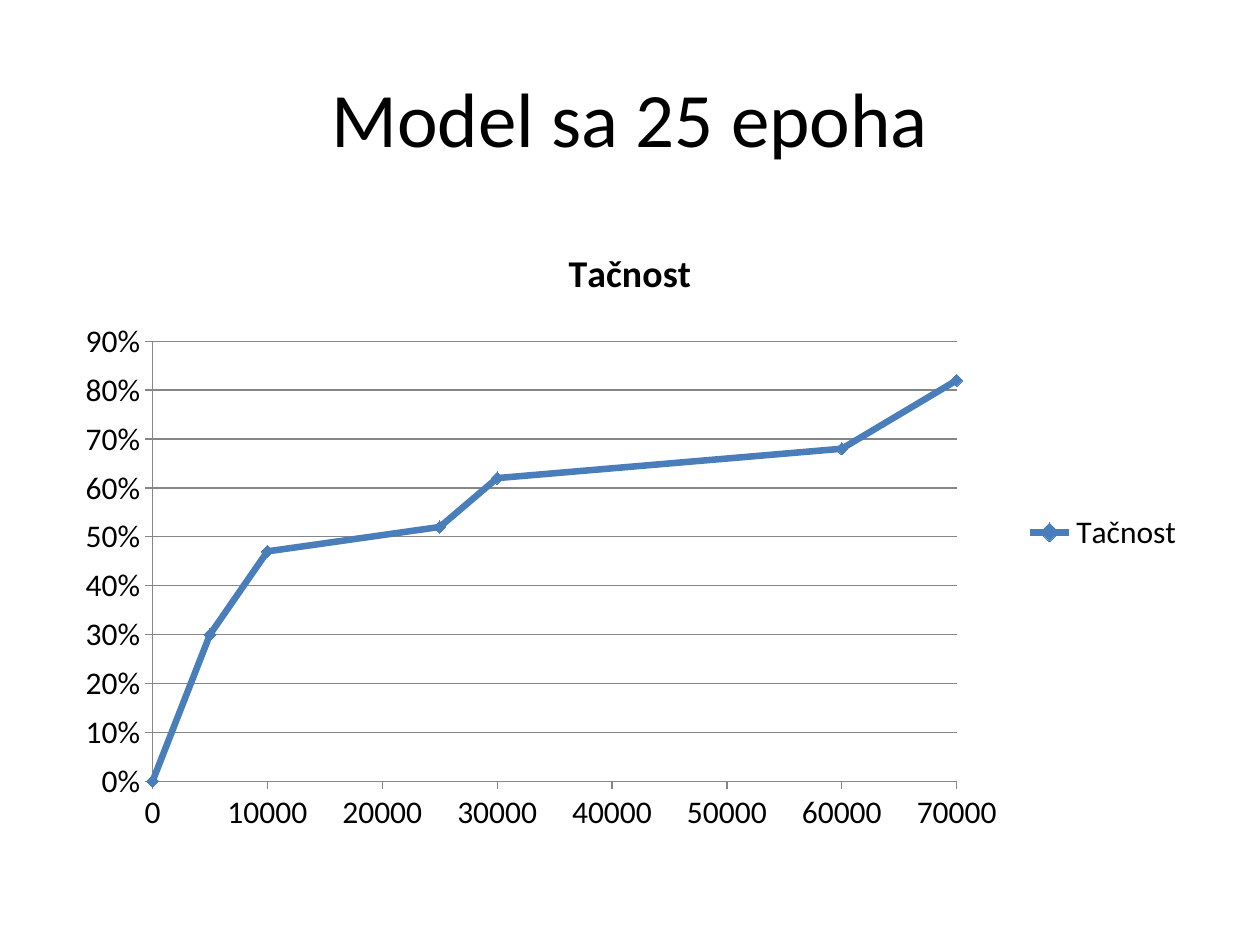
from pptx import Presentation
from pptx.chart.data import XyChartData as Data
from pptx.dml.color import RGBColor as Rgb
from pptx.enum.chart import XL_CHART_TYPE as Kind
from pptx.enum.chart import XL_LEGEND_POSITION as Side
from pptx.enum.chart import XL_MARKER_STYLE as Mark
from pptx.enum.chart import XL_TICK_MARK as Tick
from pptx.enum.text import MSO_ANCHOR as Anchor
from pptx.enum.text import PP_ALIGN as Align
from pptx.util import Inches, Pt


def tint(code):
    return Rgb.from_string(code)


class Deck:
    """Holds the style and the current slide, placed by shares of its size."""

    face, ink, rule, blue, edge = "Calibri", "000000", "868686", "4F81BD", "4A7EBB"

    def __init__(self, wide, high):
        self.prs = Presentation()
        self.prs.slide_width, self.prs.slide_height = Inches(wide), Inches(high)
        self.slide = self.prs.slides.add_slide(self.prs.slide_layouts[6])

    def box(self, left, top, wide, high):
        w, h = self.prs.slide_width, self.prs.slide_height
        return int(left * w), int(top * h), int(wide * w), int(high * h)

    def font(self, font, size, bold=False):
        font.name, font.size, font.bold = self.face, Pt(size), bold
        font.color.rgb = tint(self.ink)

    def line(self, line, code, width):
        line.color.rgb, line.width = tint(code), Pt(width)

    def title(self, text, *area):
        frame = self.slide.shapes.add_textbox(*self.box(*area)).text_frame
        frame.word_wrap, frame.vertical_anchor = True, Anchor.MIDDLE
        frame.text = text
        para = frame.paragraphs[0]
        para.alignment = Align.CENTER
        self.font(para.runs[0].font, 44)

    def axis(self, axis, top, step, form, grid):
        axis.minimum_scale, axis.maximum_scale, axis.major_unit = 0, top, step
        axis.has_major_gridlines = grid
        axis.major_tick_mark, axis.minor_tick_mark = Tick.OUTSIDE, Tick.NONE
        axis.tick_labels.number_format = form
        axis.tick_labels.number_format_is_linked = False
        self.font(axis.tick_labels.font, 18)
        self.line(axis.format.line, self.rule, 0.75)
        if grid:
            self.line(axis.major_gridlines.format.line, self.rule, 0.75)

    def curve(self, name, points, *area):
        data = Data()
        row = data.add_series(name)
        for x, y in points:
            row.add_data_point(x, y)
        chart = self.slide.shapes.add_chart(
            Kind.XY_SCATTER_SMOOTH, *self.box(*area), data).chart
        self.font(chart.font, 18)
        chart.has_title = True
        chart.chart_title.include_in_layout = False
        frame = chart.chart_title.text_frame
        frame.text = name
        self.font(frame.paragraphs[0].runs[0].font, 21.6, True)
        chart.has_legend = True
        chart.legend.position = Side.RIGHT
        chart.legend.include_in_layout = False
        self.font(chart.legend.font, 18)
        self.axis(chart.category_axis, 70000, 10000, "General", False)
        self.axis(chart.value_axis, 0.9, 0.1, "0%", True)
        plot = chart.plots[0]
        plot.vary_by_categories = False
        line = plot.series[0]
        line.smooth = True
        self.line(line.format.line, self.edge, 3.75)
        line.marker.style, line.marker.size = Mark.DIAMOND, 7
        line.marker.format.fill.solid()
        line.marker.format.fill.fore_color.rgb = tint(self.blue)
        self.line(line.marker.format.line, self.edge, 0.75)


def main():
    deck = Deck(10, 7.5)
    deck.title("Model sa 25 epoha", 0.05, 0.04, 0.9, 1 / 6)
    steps = (0, 5000, 10000, 25000, 30000, 60000, 70000)
    rates = (0, 0.3, 0.47, 0.52, 0.62, 0.68, 0.82)
    deck.curve("Tačnost", zip(steps, rates), 0.05, 7 / 30, 0.9, 0.66)
    deck.prs.save("out.pptx")


if __name__ == "__main__":
    main()
